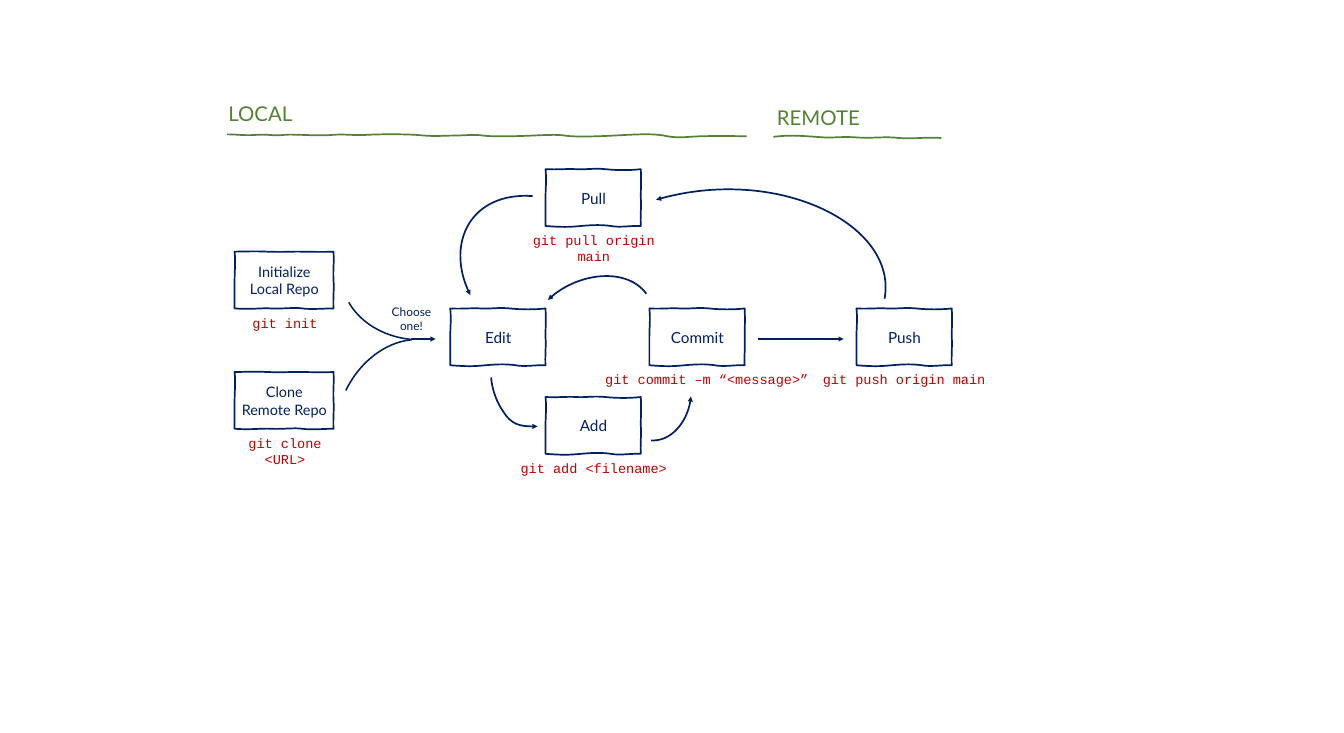
import dataclasses

import pptx
import pptx.dml.color
import pptx.enum.shapes
import pptx.enum.text
import pptx.oxml.ns
import pptx.oxml.xmlchemy
import pptx.util

EMU_PER_PX = 9144  # 100 px to the inch


@dataclasses.dataclass(frozen=True)
class Theme:
    navy: str = "002060"
    red: str = "C00000"
    green: str = "548235"
    body: str = "Lato"
    mono: str = "Courier New"
    lane_size: int = 24
    step_size: int = 18
    start_size: int = 17
    command_size: int = 16
    note_size: int = 14
    line: float = 2
    arc_line: float = 1.8


THEME = Theme()
CENTER = pptx.enum.text.PP_ALIGN.CENTER
LEFT = pptx.enum.text.PP_ALIGN.LEFT

# Hand-drawn outlines: a start point, then three points for each Bézier curve.
STEP_BOX = [
    (0, 0), (21, 1), (36, -1), (50, 0), (65, 1), (79, -2), (98, 0),
    (117, 2), (138, 2), (156, 0), (157, 23), (156, 28), (156, 46),
    (157, 63), (155, 80), (156, 93), (143, 92), (121, 96), (107, 93),
    (93, 91), (79, 91), (58, 93), (37, 95), (27, 95), (0, 93),
    (0, 74), (0, 71), (0, 49), (0, 28), (2, 19), (0, 0)]
START_BOX = [
    (0, 0), (22, 0), (28, -1), (52, 0), (77, 1), (88, 0), (101, 0),
    (115, 0), (148, 1), (162, 0), (163, 23), (161, 28), (162, 46),
    (163, 63), (161, 80), (162, 93), (146, 93), (125, 95), (111, 93),
    (98, 91), (78, 94), (60, 93), (43, 92), (29, 95), (0, 93),
    (0, 74), (0, 71), (0, 49), (0, 28), (2, 19), (0, 0)]
LOCAL_RULE = [
    (372, 220), (388, 220), (397, 222), (417, 221), (438, 219), (449, 223), (463, 221),
    (476, 219), (521, 223), (542, 221), (563, 219), (580, 222), (596, 221),
    (612, 220), (652, 219), (684, 221), (715, 224), (718, 222), (746, 222),
    (774, 221), (776, 220), (791, 222), (806, 224), (849, 223), (871, 222),
    (892, 221), (913, 220), (925, 222), (936, 224), (966, 224), (1004, 222),
    (1042, 220), (1071, 218), (1092, 223), (1113, 227), (1128, 223), (1154, 223),
    (1180, 222), (1199, 223), (1222, 223)]
REMOTE_RULE = [
    (1266, 224), (1293, 221), (1303, 222), (1335, 224), (1366, 227), (1372, 223), (1401, 225),
    (1429, 227), (1449, 223), (1472, 226), (1495, 228), (1514, 224), (1541, 226)]

# Lane name, left, top, width, rule below it
LANES = [("LOCAL", 364, 161, 128, LOCAL_RULE), ("REMOTE", 1262, 167, 159, REMOTE_RULE)]

# Label, left, top, command, command's left and width
STEPS = [
    ("Edit", 737, 505, None, 0, 0),
    ("Add", 893, 650, "git add <filename>", 835, 274),
    ("Commit", 1063, 505, "git commit –m “<message>”", 972, 370),
    ("Push", 1402, 505, "git push origin main", 1295, 370),
    ("Pull", 893, 277, "git pull origin main", 835, 274)]
STARTS = [
    ("Initialize Local Repo", 384, 412, "git init", 364, 205),
    ("Clone Remote Repo", 384, 609, "git clone <URL>", 364, 205)]
COMMAND_DROP = 98

CURVED_ARROWS = {
    "edit to add": [(804, 618), (805, 636), (813, 659), (824, 674),
                    (837, 695), (855, 699), (880, 698)],
    "add to commit": [(1066, 721), (1098, 723), (1128, 688), (1131, 649)],
    "commit to edit": [(1058, 481), (1027, 438), (943, 446), (897, 491)],
    "push to pull": [(1448, 489), (1470, 369), (1272, 269), (1074, 327)],
    "pull to edit": [(872, 321), (771, 314), (728, 401), (770, 483)]}
STRAIGHT_ARROWS = [(1241, 1381), (673, 713)]
ARROW_Y = 555

# Left, top, width, height, rotation, start and end angle in degrees
START_ARCS = [(559, 357, 245, 199, 186.1, 268.4, 334.7),
              (526, 580, 271, 213, 295.4, 271, 340)]


def px(*lengths):
    return [pptx.util.Emu(n * EMU_PER_PX) for n in lengths]


def rgb(color):
    return pptx.dml.color.RGBColor.from_string(color)


def new_element(tag):
    return pptx.oxml.xmlchemy.OxmlElement(tag)


def style_line(sp, color, width=THEME.line):
    sp.line.color.rgb = rgb(color)
    sp.line.width = pptx.util.Pt(width)


def add_arrowhead(sp):
    ln = sp._element.spPr.find(pptx.oxml.ns.qn("a:ln"))
    tail = new_element("a:tailEnd")
    tail.set("type", "triangle")
    ln.append(tail)


def write(sp, text, size, color, font=THEME.body, align=CENTER):
    tf = sp.text_frame
    tf.word_wrap = True
    p = tf.paragraphs[0]
    p.alignment = align
    r = p.add_run()
    r.text = text
    r.font.size = pptx.util.Pt(size)
    r.font.name = font
    r.font.color.rgb = rgb(color)


def add_text(s, text, x, y, w, h, *style):
    sp = s.shapes.add_textbox(*px(x, y, w, h))
    write(sp, text, *style)


def add_curve(s, points, color, close=False):
    """Draw an unfilled freeform, turning each three points into a Bézier curve."""
    builder = s.shapes.build_freeform(*points[0], scale=EMU_PER_PX)
    builder.add_line_segments(points[1:], close=close)
    sp = builder.convert_to_shape()
    lines = list(sp._element.iter(pptx.oxml.ns.qn("a:lnTo")))
    for i in range(0, len(points) - 1, 3):
        curve = new_element("a:cubicBezTo")
        lines[i].addprevious(curve)
        for line in lines[i:i + 3]:
            curve.append(line[0])
            line.getparent().remove(line)
    sp.shadow.inherit = False
    sp.fill.background()
    style_line(sp, color)
    return sp


def add_step(s, outline, size, label, x, y, command, command_x, command_w):
    """Draw a sketched box with its label and the git command below it."""
    sp = add_curve(s, [(x + dx, y + dy) for dx, dy in outline], THEME.navy, close=True)
    sp.text_frame.vertical_anchor = pptx.enum.text.MSO_ANCHOR.MIDDLE
    write(sp, label, size, THEME.navy)
    if command:
        add_text(s, command, command_x, y + COMMAND_DROP, command_w, 37,
                 THEME.command_size, THEME.red, THEME.mono)


def add_straight_arrow(s, x1, x2, y):
    sp = s.shapes.add_connector(pptx.enum.shapes.MSO_CONNECTOR.STRAIGHT, *px(x1, y, x2, y))
    style_line(sp, THEME.navy)
    add_arrowhead(sp)
    sp._element.spPr.append(new_element("a:effectLst"))


def add_arc(s, x, y, w, h, rotation, start, end):
    sp = s.shapes.add_shape(pptx.enum.shapes.MSO_SHAPE.ARC, *px(x, y, w, h))
    sp.rotation = rotation
    for i, angle in enumerate((start, end)):
        sp.adjustments[i] = angle * 0.6  # 60000 units a degree, scaled by 100000
    sp.shadow.inherit = False
    sp.fill.background()
    style_line(sp, THEME.navy, THEME.arc_line)


def main():
    prs = pptx.Presentation()
    prs.slide_width, prs.slide_height = px(2200, 1200)
    s = prs.slides.add_slide(prs.slide_layouts[6])

    for name, x, y, w, rule in LANES:
        add_text(s, name, x, y, w, 50, THEME.lane_size, THEME.green, THEME.body, LEFT)
        add_curve(s, rule, THEME.green)
    for step in STEPS:
        add_step(s, STEP_BOX, THEME.step_size, *step)
    for start in STARTS:
        add_step(s, START_BOX, THEME.start_size, *start)
    for points in CURVED_ARROWS.values():
        add_arrowhead(add_curve(s, points, THEME.navy))
    for x1, x2 in STRAIGHT_ARROWS:
        add_straight_arrow(s, x1, x2, ARROW_Y)
    for arc in START_ARCS:
        add_arc(s, *arc)
    add_text(s, "Choose one!", 618, 494, 111, 57, THEME.note_size, THEME.navy)

    prs.save("out.pptx")


if __name__ == "__main__":
    main()
